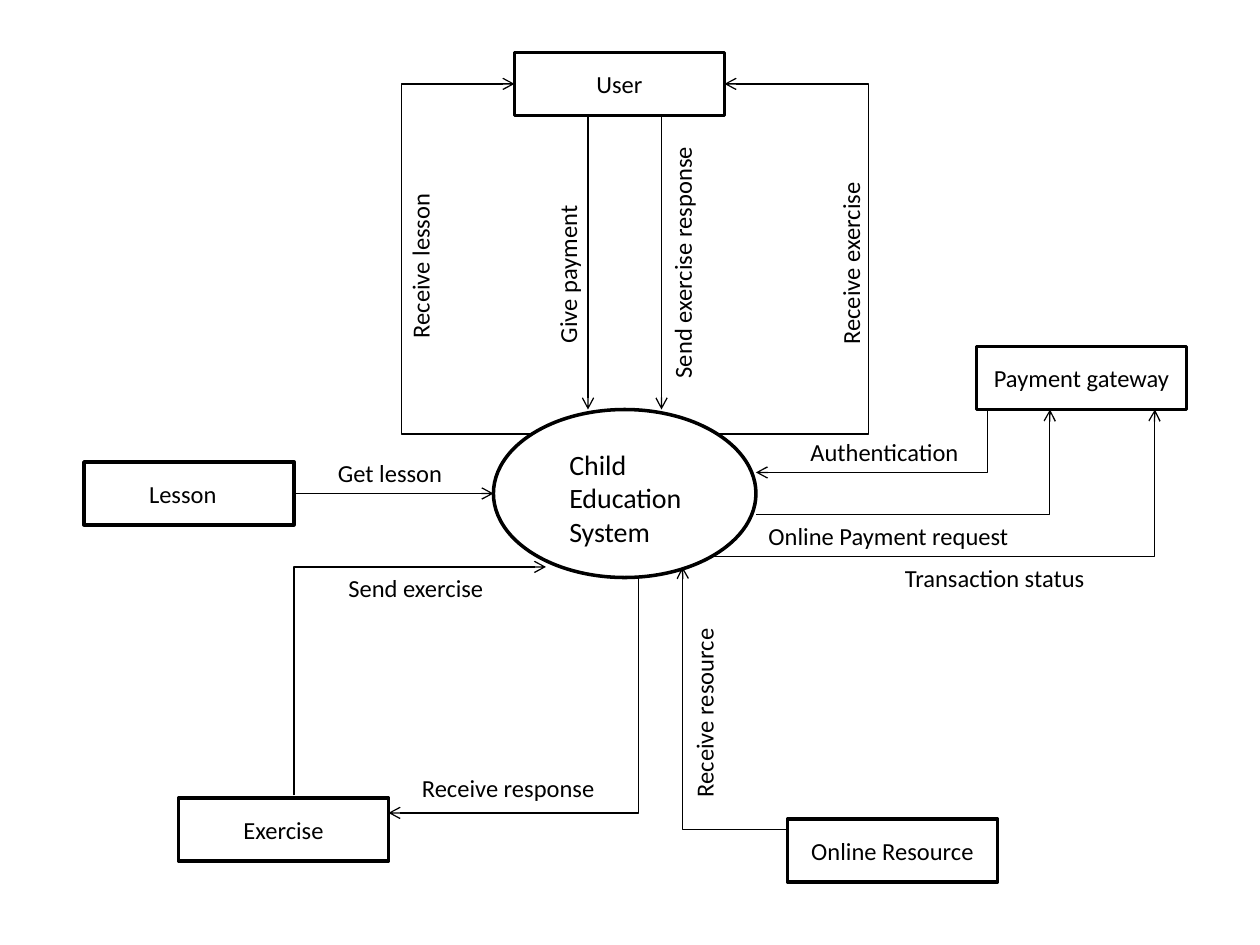
from dataclasses import dataclass
from typing import Any, Optional

from pptx import Presentation
from pptx.dml.color import RGBColor
from pptx.enum.shapes import MSO_CONNECTOR, MSO_SHAPE
from pptx.enum.text import MSO_ANCHOR, MSO_AUTO_SIZE, PP_ALIGN
from pptx.oxml.ns import qn
from pptx.util import Pt
from lxml import etree

RECTANGLE, ELLIPSE = MSO_SHAPE.RECTANGLE, MSO_SHAPE.OVAL
STRAIGHT, ELBOW = MSO_CONNECTOR.STRAIGHT, MSO_CONNECTOR.ELBOW
LEFT, CENTER = PP_ALIGN.LEFT, PP_ALIGN.CENTER
TOP, MIDDLE = MSO_ANCHOR.TOP, MSO_ANCHOR.MIDDLE
NO_AUTO_SIZE = MSO_AUTO_SIZE.NONE
RIGHT_SIDE = 3


@dataclass(frozen=True)
class Theme:
    ink: RGBColor = RGBColor(0, 0, 0)
    font: str = "Calibri"
    system_size: float = 16
    text_size: float = 14
    outline: float = 2
    flow_line: float = 0.75


@dataclass(frozen=True)
class Entity:
    name: str
    left: float
    top: float
    right_inset: float = 0


@dataclass(frozen=True)
class Flow:
    """An arrow; corner is the x of its vertical part, None when straight."""
    start: tuple[float, float]
    end: tuple[float, float]
    corner: Optional[float] = None
    source: str = ""


@dataclass(frozen=True)
class Label:
    text: str
    left: float
    top: float
    width: float
    rotation: float = 0


THEME = Theme()
ENTITY_WIDTH, ENTITY_HEIGHT = 120, 36
LABEL_HEIGHT = 24.5
UP = 270
HEAD_GAP = 0.2  # keeps a last short piece, so the elbow ends at its target

ENTITIES = [
    Entity("Online Resource", 450, 468),
    Entity("User", 294, 30),
    Entity("Exercise", 102, 456),
    Entity("Payment gateway", 558, 198),
    Entity("Lesson", 48, 264, right_inset=7),
]

FLOWS = [
    Flow((168, 282), (282, 282), source="Lesson"),
    Flow((365, 330), (222, 464.5), 365),
    Flow((168, 454.5), (312, 324), 168),
    Flow((450, 474), (390, 324), 390 + HEAD_GAP),
    Flow((564.5, 234), (432, 270), 564.5),
    Flow((378, 66), (378, 234)),
    Flow((336, 66), (336, 234)),
    Flow((304, 248), (294, 48), 229.5),
    Flow((410, 248), (414, 48), 496.5),
    Flow((432, 294), (600, 234), 600 - HEAD_GAP),
    Flow((408, 318), (660, 234), 660 - HEAD_GAP),
]

LABELS = [
    Label("Get lesson", 186, 258, 78),
    Label("Receive response", 234, 438, 117.5),
    Label("Send exercise", 192, 324, 96),
    Label("Receive lesson", 188, 136, 104.5, UP),
    Label("Receive exercise", 430.5, 136, 111.5, UP),
    Label("Give payment", 276, 142.5, 97, UP),
    Label("Send exercise response", 314.5, 135.5, 151, UP),
    Label("Online Payment request", 432, 294, 153.5),
    Label("Authentication", 456, 246, 106.5),
    Label("Receive resource", 345, 393, 115, UP),
    Label("Transaction status", 510, 318, 124.5),
]


def apply_format(target: Any, values: dict[str, Any]) -> None:
    for name, value in values.items():
        setattr(target, name, value)


def write_text(shape: Any, lines: list[str], size: float, alignment: Any,
               frame_format: dict[str, Any]) -> None:
    frame = shape.text_frame
    apply_format(frame, {"auto_size": NO_AUTO_SIZE, **frame_format})
    frame.text = "\n".join(lines)
    for paragraph in frame.paragraphs:
        paragraph.alignment = alignment
        font = paragraph.runs[0].font
        apply_format(font, {"name": THEME.font, "size": Pt(size)})
        font.color.rgb = THEME.ink


def add_outline(slide: Any, kind: Any, left: float, top: float,
                width: float, height: float) -> Any:
    shape = slide.shapes.add_shape(kind, Pt(left), Pt(top), Pt(width), Pt(height))
    shape.shadow.inherit = False
    shape.fill.background()
    shape.line.color.rgb = THEME.ink
    shape.line.width = Pt(THEME.outline)
    return shape


def add_system(slide: Any) -> None:
    shape = add_outline(slide, ELLIPSE, 282, 234, 150, 96)
    write_text(shape, ["Child", "Education", "System"], THEME.system_size, LEFT, {
        "word_wrap": True, "vertical_anchor": TOP, "margin_left": Pt(21.4),
        "margin_top": Pt(7.6), "margin_right": 0, "margin_bottom": 0})


def add_entity(slide: Any, entity: Entity) -> Any:
    shape = add_outline(slide, RECTANGLE, entity.left, entity.top,
                        ENTITY_WIDTH, ENTITY_HEIGHT)
    write_text(shape, [entity.name], THEME.text_size, CENTER, {
        "word_wrap": True, "vertical_anchor": MIDDLE, "margin_left": 0,
        "margin_right": Pt(entity.right_inset)})
    return shape


def add_flow(slide: Any, flow: Flow, entity_shapes: dict[str, Any]) -> None:
    kind = STRAIGHT if flow.corner is None else ELBOW
    connector = slide.shapes.add_connector(
        kind, *(Pt(value) for value in flow.start + flow.end))
    if flow.source:
        connector.begin_connect(entity_shapes[flow.source], RIGHT_SIDE)
    connector.line.color.rgb = THEME.ink
    connector.line.width = Pt(THEME.flow_line)
    properties = connector._element.spPr

    # Bend position as a share of the horizontal run
    if flow.corner is not None:
        share = (flow.corner - flow.start[0]) / (flow.end[0] - flow.start[0])
        adjustments = properties.find(qn("a:prstGeom")).find(qn("a:avLst"))
        etree.SubElement(adjustments, qn("a:gd"), name="adj1",
                         fmla=f"val {round(share * 100000)}")

    # Open arrowhead, no shadow
    etree.SubElement(properties.find(qn("a:ln")), qn("a:tailEnd"), type="arrow")
    etree.SubElement(properties, qn("a:effectLst"))


def add_label(slide: Any, label: Label) -> None:
    box = slide.shapes.add_textbox(Pt(label.left), Pt(label.top),
                                   Pt(label.width), Pt(LABEL_HEIGHT))
    box.rotation = label.rotation
    write_text(box, [label.text], THEME.text_size, LEFT, {"word_wrap": False})


def main() -> None:
    presentation = Presentation()
    apply_format(presentation, {"slide_width": Pt(720), "slide_height": Pt(540)})
    slide = presentation.slides.add_slide(presentation.slide_layouts[6])

    # Central process and the entities around it
    add_system(slide)
    entity_shapes = {entity.name: add_entity(slide, entity) for entity in ENTITIES}

    # Data flows and their names
    for flow in FLOWS:
        add_flow(slide, flow, entity_shapes)
    for label in LABELS:
        add_label(slide, label)

    presentation.save("out.pptx")


if __name__ == "__main__":
    main()
